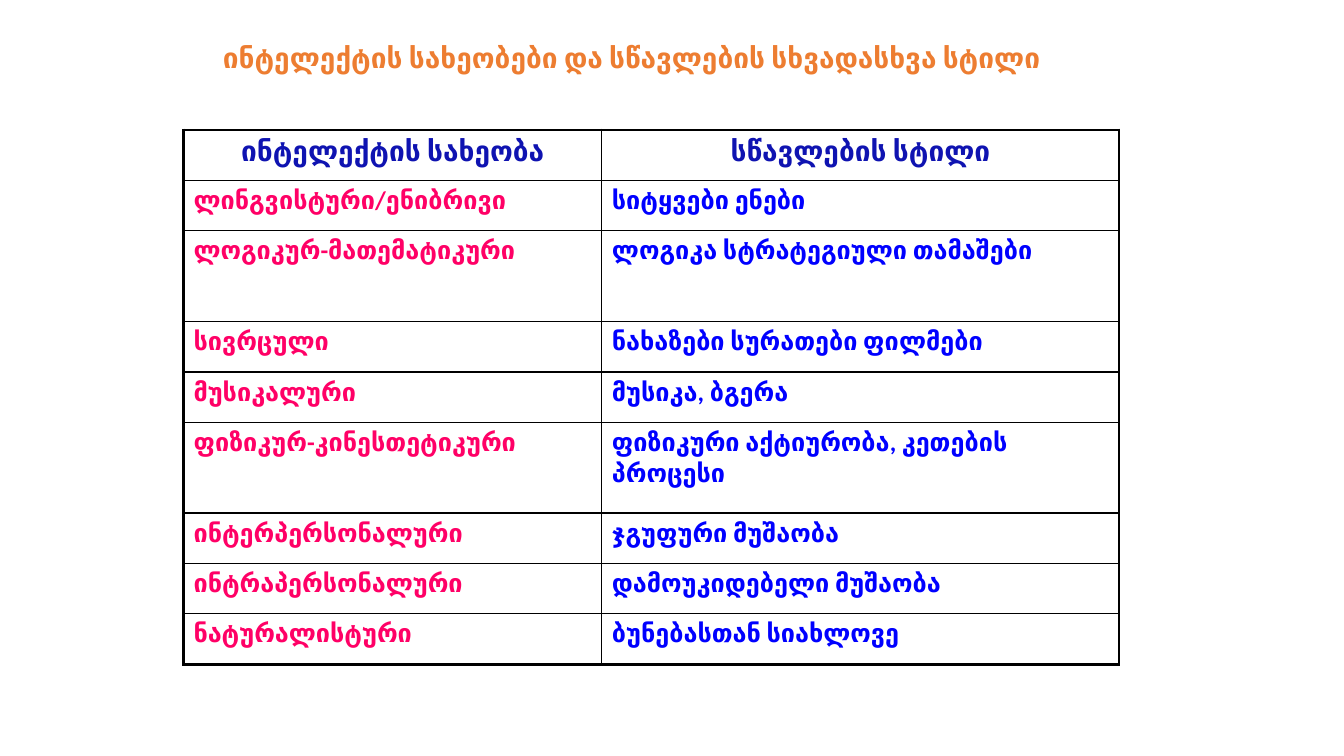
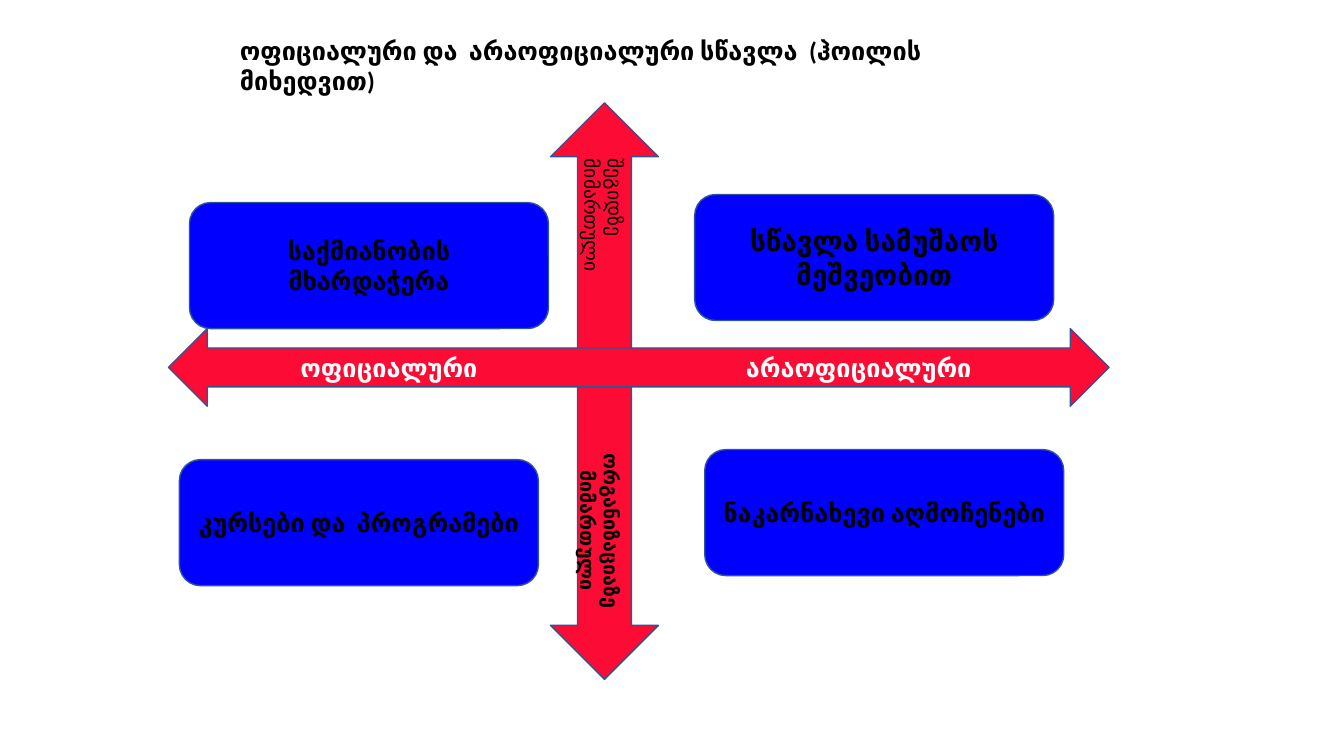
from dataclasses import dataclass

from lxml.etree import SubElement
from pptx import Presentation
from pptx.dml.color import RGBColor
from pptx.enum.shapes import MSO_SHAPE
from pptx.enum.text import MSO_ANCHOR, MSO_AUTO_SIZE, PP_ALIGN
from pptx.oxml.ns import qn
from pptx.util import Inches, Pt

SLIDE_WIDTH, SLIDE_HEIGHT = Inches(13.33), Inches(7.5)
FONT = "Calibri"
TITLE_ONLY = 5

BLACK = RGBColor(0x00, 0x00, 0x00)
WHITE = RGBColor(0xFF, 0xFF, 0xFF)
ORANGE = RGBColor(0xED, 0x7D, 0x31)
NAVY = RGBColor(0x0F, 0x13, 0xB1)
PINK = RGBColor(0xFF, 0x00, 0x66)
BLUE = RGBColor(0x00, 0x00, 0xFF)
RED = RGBColor(0xFC, 0x0C, 0x34)
OUTLINE = RGBColor(0x32, 0x54, 0x91)

OUTER_BORDER, INNER_BORDER = 2.25, 1


@dataclass(frozen=True)
class Area:
    """A rectangle in percent of the slide's width and height."""
    left: float
    top: float
    width: float
    height: float

    def emu(self) -> tuple[int, int, int, int]:
        return (round(SLIDE_WIDTH * self.left / 100),
                round(SLIDE_HEIGHT * self.top / 100),
                round(SLIDE_WIDTH * self.width / 100),
                round(SLIDE_HEIGHT * self.height / 100))


@dataclass(frozen=True)
class TextStyle:
    size: float
    color: RGBColor
    bold: bool = True
    align: PP_ALIGN = PP_ALIGN.LEFT


@dataclass(frozen=True)
class Quadrant:
    left: float
    top: float
    wording: str
    size: int = 18


@dataclass(frozen=True)
class AxisLabel:
    area: Area
    wording: str
    style: TextStyle
    rotation: int = 0


HEADER_STYLE = TextStyle(20, NAVY, align=PP_ALIGN.CENTER)
COLUMN_STYLES = (TextStyle(18, PINK), TextStyle(18, BLUE))
AXIS_STYLE = TextStyle(18, WHITE, align=PP_ALIGN.CENTER)

TABLE_AREA = Area(13.65, 17.2, 69.61, 70.67)
COLUMN_WIDTHS = (4.15, 5.13)
ROW_HEIGHT, TALL_ROW_HEIGHT = 0.5, 0.9
TALL_ROWS = (2, 5)
INTELLIGENCES = (
    ("ინტელექტის სახეობა", "სწავლების სტილი"),
    ("ლინგვისტური/ენიბრივი", "სიტყვები ენები"),
    ("ლოგიკურ-მათემატიკური", "ლოგიკა სტრატეგიული თამაშები"),
    ("სივრცული", "ნახაზები სურათები ფილმები"),
    ("მუსიკალური", "მუსიკა, ბგერა"),
    ("ფიზიკურ-კინესთეტიკური", "ფიზიკური აქტიურობა, კეთების  პროცესი"),
    ("ინტერპერსონალური", "ჯგუფური მუშაობა"),
    ("ინტრაპერსონალური", "დამოუკიდებელი მუშაობა"),
    ("ნატურალისტური", "ბუნებასთან სიახლოვე"),
)

AXES = (
    (MSO_SHAPE.UP_DOWN_ARROW, Area(40.96, 13.6, 8.03, 76.27)),
    (MSO_SHAPE.LEFT_RIGHT_ARROW, Area(12.53, 43.47, 69.99, 10.27)),
)
QUADRANT_WIDTH, QUADRANT_HEIGHT = 26.71, 16.67
QUADRANTS = (
    Quadrant(51.69, 25.73, "სწავლა სამუშაოს მეშვეობით", 20),
    Quadrant(52.44, 59.47, "ნაკარნახევი აღმოჩენები"),
    Quadrant(13.35, 60.8, "კურსები და  პროგრამები"),
    Quadrant(14.1, 26.8, "საქმიანობის მხარდაჭერა"),
)
AXIS_LABELS = (
    AxisLabel(Area(16.95, 43.47, 24, 10.27), "ოფიციალური", AXIS_STYLE),
    AxisLabel(Area(51.9, 43.47, 24, 10.27), "არაოფიციალური", AXIS_STYLE),
    AxisLabel(Area(36.65, 66.4, 15.98, 7.6), "ორგანიზაციაზე მიმართული",
              TextStyle(14, BLACK, align=PP_ALIGN.CENTER), 90),
    AxisLabel(Area(37.73, 28.67, 14.4, 7.6), "შეგიდზე  მიმართული",
              TextStyle(14, BLACK, bold=False), 90),
)


def write(frame, wording: str, style: TextStyle,
          anchor: MSO_ANCHOR = MSO_ANCHOR.MIDDLE) -> None:
    frame.word_wrap = True
    frame.vertical_anchor = anchor
    paragraph = frame.paragraphs[0]
    paragraph.alignment = style.align
    run = paragraph.add_run()
    run.text = wording
    run.font.name = FONT
    run.font.size = Pt(style.size)
    run.font.bold = style.bold
    run.font.color.rgb = style.color


def add_titled_slide(deck, wording: str, area: Area, style: TextStyle):
    slide = deck.slides.add_slide(deck.slide_layouts[TITLE_ONLY])
    title = slide.shapes.title
    title.left, title.top, title.width, title.height = area.emu()
    title.text_frame.auto_size = MSO_AUTO_SIZE.NONE
    write(title.text_frame, wording, style, MSO_ANCHOR.TOP)
    return slide


def set_borders(cell, widths: dict[str, float]) -> None:
    """Draw black cell borders; they must precede the fill in the XML."""
    properties = cell._tc.get_or_add_tcPr()
    for position, (side, points) in enumerate(widths.items()):
        border = SubElement(properties, qn(f"a:{side}"), w=str(Pt(points)))
        fill = SubElement(border, qn("a:solidFill"))
        SubElement(fill, qn("a:srgbClr"), val=str(BLACK))
        properties.insert(position, border)


def add_intelligence_table(slide) -> None:
    row_count, column_count = len(INTELLIGENCES), len(COLUMN_WIDTHS)
    table = slide.shapes.add_table(
        row_count, column_count, *TABLE_AREA.emu()).table
    table.first_row = table.horz_banding = False
    for column, width in zip(table.columns, COLUMN_WIDTHS):
        column.width = Inches(width)
    for r, wordings in enumerate(INTELLIGENCES):
        table.rows[r].height = Inches(
            TALL_ROW_HEIGHT if r in TALL_ROWS else ROW_HEIGHT)
        for c, wording in enumerate(wordings):
            cell = table.cell(r, c)
            style = COLUMN_STYLES[c] if r else HEADER_STYLE
            write(cell.text_frame, wording, style, MSO_ANCHOR.TOP)
            cell.text_frame.paragraphs[0].space_before = Pt(style.size * 0.2)
            cell.fill.background()
            on_edge = {"lnL": c == 0, "lnR": c == column_count - 1,
                       "lnT": r == 0, "lnB": r == row_count - 1}
            set_borders(cell, {side: OUTER_BORDER if outer else INNER_BORDER
                               for side, outer in on_edge.items()})


def add_outlined_shape(slide, preset: MSO_SHAPE, area: Area, color: RGBColor):
    shape = slide.shapes.add_shape(preset, *area.emu())
    shape.shadow.inherit = False
    shape.fill.solid()
    shape.fill.fore_color.rgb = color
    shape.line.color.rgb = OUTLINE
    shape.line.width = Pt(1)
    return shape


def add_quadrant(slide, quadrant: Quadrant) -> None:
    area = Area(quadrant.left, quadrant.top, QUADRANT_WIDTH, QUADRANT_HEIGHT)
    box = add_outlined_shape(slide, MSO_SHAPE.ROUNDED_RECTANGLE, area, BLUE)
    write(box.text_frame, quadrant.wording,
          TextStyle(quadrant.size, BLACK, align=PP_ALIGN.CENTER))


def add_axis_label(slide, label: AxisLabel) -> None:
    box = slide.shapes.add_textbox(*label.area.emu())
    box.rotation = label.rotation
    write(box.text_frame, label.wording, label.style)


def main() -> None:
    deck = Presentation()
    deck.slide_width, deck.slide_height = SLIDE_WIDTH, SLIDE_HEIGHT

    styles_slide = add_titled_slide(
        deck, "ინტელექტის სახეობები და სწავლების სხვადასხვა სტილი",
        Area(15.83, 4.67, 70.22, 5.87), TextStyle(20, ORANGE))
    add_intelligence_table(styles_slide)

    learning_slide = add_titled_slide(
        deck, "ოფიციალური და  არაოფიციალური სწავლა  (ჰოილის მიხედვით)",
        Area(17.1, 4, 61.52, 5.33), TextStyle(18, BLACK))
    for preset, area in AXES:
        add_outlined_shape(learning_slide, preset, area, RED)
    for quadrant in QUADRANTS:
        add_quadrant(learning_slide, quadrant)
    for label in AXIS_LABELS:
        add_axis_label(learning_slide, label)

    deck.save("out.pptx")


if __name__ == "__main__":
    main()
